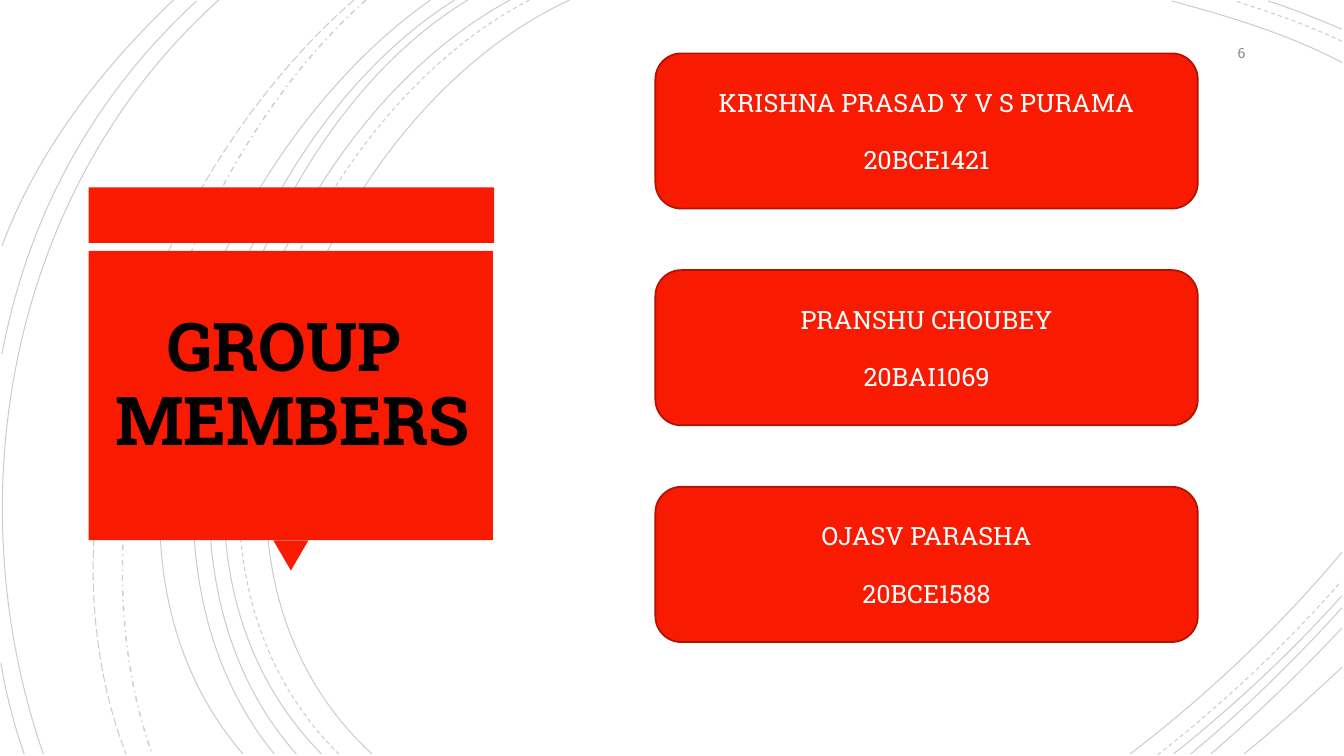
"""Build the group members slide: a red title panel, three member cards and a field of thin arcs."""
from typing import NamedTuple

from lxml import etree
from pptx import Presentation
from pptx import util as u
from pptx.dml.color import RGBColor
from pptx.enum import dml, shapes, text
from pptx.oxml import ns

CELL = u.Inches(1)
COLUMNS, ROWS = 13.33, 7.5
FONT = "Roboto Slab"
COLOURS = {"red": "F81B02", "edge": "AF1301", "black": "000000", "white": "FFFFFF", "grey": "8C8C8C"}
DASH, LONG, DOT = dml.MSO_LINE.DASH, dml.MSO_LINE.LONG_DASH, dml.MSO_LINE.DASH_DOT
CENTER = text.PP_ALIGN.CENTER
MIDDLE = text.MSO_ANCHOR.MIDDLE


class Area(NamedTuple):
    column: float
    row: float
    columns: float
    rows: float

    def emu(self) -> list:
        return [round(CELL * value) for value in self]


class Arc(NamedTuple):
    points: tuple
    dash: object = None
    weight: float = 0.75


class Block(NamedTuple):
    preset: object
    area: Area
    rotation: int = 0


class Member(NamedTuple):
    name: str
    number: str


ARCS = [
    Arc(((5.65, 0), (3.15, 1.15), (1.43, 5.4), (3.69, 7.48))),
    Arc(((13.31, 0.62), (12.78, 0.34), (12.18, 0.16), (11.62, 0.01))),
    Arc(((11.21, 7.48), (11.97, 6.9), (12.69, 6.22), (13.31, 5.48))),
    Arc(((5.25, 0), (2.85, 1.25), (1.23, 5.37), (3.36, 7.48)), DASH),
    Arc(((13.31, 0.41), (12.97, 0.25), (12.6, 0.12), (12.25, 0.01)), DASH),
    Arc(((11.48, 7.49), (12.13, 6.98), (12.75, 6.4), (13.3, 5.77)), DASH),
    Arc(((5.06, 0), (2.7, 1.27), (1.1, 5.37), (3.19, 7.48))),
    Arc(((13.31, 0.29), (13.07, 0.19), (12.83, 0.09), (12.58, 0.01))),
    Arc(((11.64, 7.48), (12.23, 7.01), (12.8, 6.48), (13.31, 5.91))),
    Arc(((4.64, 0), (2.44, 1.33), (1.1, 5.41), (2.94, 7.48))),
    Arc(((11.81, 7.48), (12.34, 7.04), (12.84, 6.55), (13.31, 6.03))),
    Arc(((4.51, 0), (2.31, 1.38), (0.97, 5.33), (2.72, 7.48))),
    Arc(((12.01, 7.48), (12.46, 7.09), (12.9, 6.67), (13.31, 6.23))),
    Arc(((4.27, 0), (2.17, 1.47), (0.53, 5.29), (2.41, 7.48))),
    Arc(((12.34, 7.48), (12.67, 7.21), (12.99, 6.92), (13.31, 6.62))),
    Arc(((3.63, 0), (1.76, 1.66), (0.65, 5.09), (1.51, 7.48)), DOT, 1),
    Arc(((3.51, 0), (1.57, 1.69), (0.29, 4.99), (1.25, 7.48)), LONG),
    Arc(((2.17, 0), (0.11, 1.85), (-0.46, 4.9), (0.43, 7.48))),
    Arc(((1.95, 0.01), (0.92, 0.96), (0.28, 2.14), (0.02, 3.51))),
    Arc(((0.01, 6.58), (0.06, 6.89), (0.14, 7.19), (0.24, 7.48))),
    Arc(((1.72, 0), (1, 0.69), (0.37, 1.5), (0.02, 2.44))),
]
PANEL = [
    Block(shapes.MSO_SHAPE.RECTANGLE, Area(0.88, 1.86, 4.02, 0.55)),
    Block(shapes.MSO_SHAPE.ISOSCELES_TRIANGLE, Area(2.71, 5.36, 0.35, 0.3), 180),
    Block(shapes.MSO_SHAPE.RECTANGLE, Area(0.88, 2.49, 4.01, 2.87)),
]
MEMBERS = [
    Member("KRISHNA PRASAD Y V S PURAMA", "20BCE1421"),
    Member("PRANSHU CHOUBEY", "20BAI1069"),
    Member("OJASV PARASHA", "20BCE1588"),
]
FIRST_CARD = Area(6.5, 0.53, 5.38, 1.54)
CARD_PITCH = 2.15
TITLE_AREA = Area(0.99, 2.97, 3.82, 1.72)
NUMBER_AREA = Area(11.45, 0.35, 1, 0.35)


def colour(name: str) -> RGBColor:
    return RGBColor.from_string(COLOURS[name])


def write(box, lines, *, size: float, ink: str, align=CENTER, bold: bool = False,
          wrap: bool = True, gap: float = 0, spacing: float = 1.0) -> None:
    frame = box.text_frame
    frame.word_wrap = wrap
    frame.vertical_anchor = MIDDLE
    for index, line in enumerate(lines):
        para = frame.add_paragraph() if index else frame.paragraphs[0]
        para.alignment = align
        para.line_spacing = spacing
        para.space_before = u.Pt(gap if index else 0)
        span = para.add_run()
        span.text = line
        span.font.name, span.font.size, span.font.bold = FONT, u.Pt(size), bold
        span.font.color.rgb = colour(ink)


def draw_arc(page, arc: Arc) -> None:
    start, *rest = [(round(CELL * x), round(CELL * y)) for x, y in arc.points]
    builder = page.shapes.build_freeform(*start)
    builder.add_line_segments(rest, close=False)
    curve = builder.convert_to_shape()
    curve.shadow.inherit = False
    curve.fill.background()
    curve.line.color.rgb = colour("black")
    curve.line.width = u.Pt(arc.weight)
    if arc.dash:
        curve.line.dash_style = arc.dash
    ink = next(curve.line._get_or_add_ln().iter(ns.qn("a:srgbClr")))
    etree.SubElement(ink, ns.qn("a:alpha")).set("val", "20000")
    outline = next(curve.element.iter(ns.qn("a:path")))
    bend = etree.SubElement(outline, ns.qn("a:cubicBezTo"))
    for segment in outline.findall(ns.qn("a:lnTo")):
        bend.append(segment[0])
        outline.remove(segment)


def draw_block(page, block: Block, edge: str = ""):
    box = page.shapes.add_shape(block.preset, *block.area.emu())
    box.shadow.inherit = False
    box.rotation = block.rotation
    box.fill.solid()
    box.fill.fore_color.rgb = colour("red")
    if edge:
        box.line.color.rgb = colour(edge)
        box.line.width = u.Pt(1.25)
    else:
        box.line.fill.background()
    return box


def draw_title(page) -> None:
    title = page.shapes.title
    title.left, title.top, title.width, title.height = TITLE_AREA.emu()
    title.text_frame.auto_size = text.MSO_AUTO_SIZE.NONE
    write(title, ["GROUP ", "MEMBERS"], size=48, ink="black", bold=True, wrap=False, spacing=0.92)
    title.element.getparent().append(title.element)


def draw_card(page, index: int, member: Member) -> None:
    area = FIRST_CARD._replace(row=FIRST_CARD.row + index * CARD_PITCH)
    card = draw_block(page, Block(shapes.MSO_SHAPE.ROUNDED_RECTANGLE, area), edge="edge")
    write(card, member, size=18, ink="white", gap=19.5)


def main() -> None:
    deck = Presentation()
    deck.slide_width, deck.slide_height = round(CELL * COLUMNS), round(CELL * ROWS)
    page = deck.slides.add_slide(deck.slide_layouts[5])
    page.background.fill.solid()
    page.background.fill.fore_color.rgb = colour("white")
    for arc in ARCS:
        draw_arc(page, arc)
    for block in PANEL:
        draw_block(page, block)
    draw_title(page)
    for index, member in enumerate(MEMBERS):
        draw_card(page, index, member)
    number = page.shapes.add_textbox(*NUMBER_AREA.emu())
    write(number, ["6"], size=10, ink="grey", align=text.PP_ALIGN.RIGHT)
    deck.save("out.pptx")


if __name__ == "__main__":
    main()
